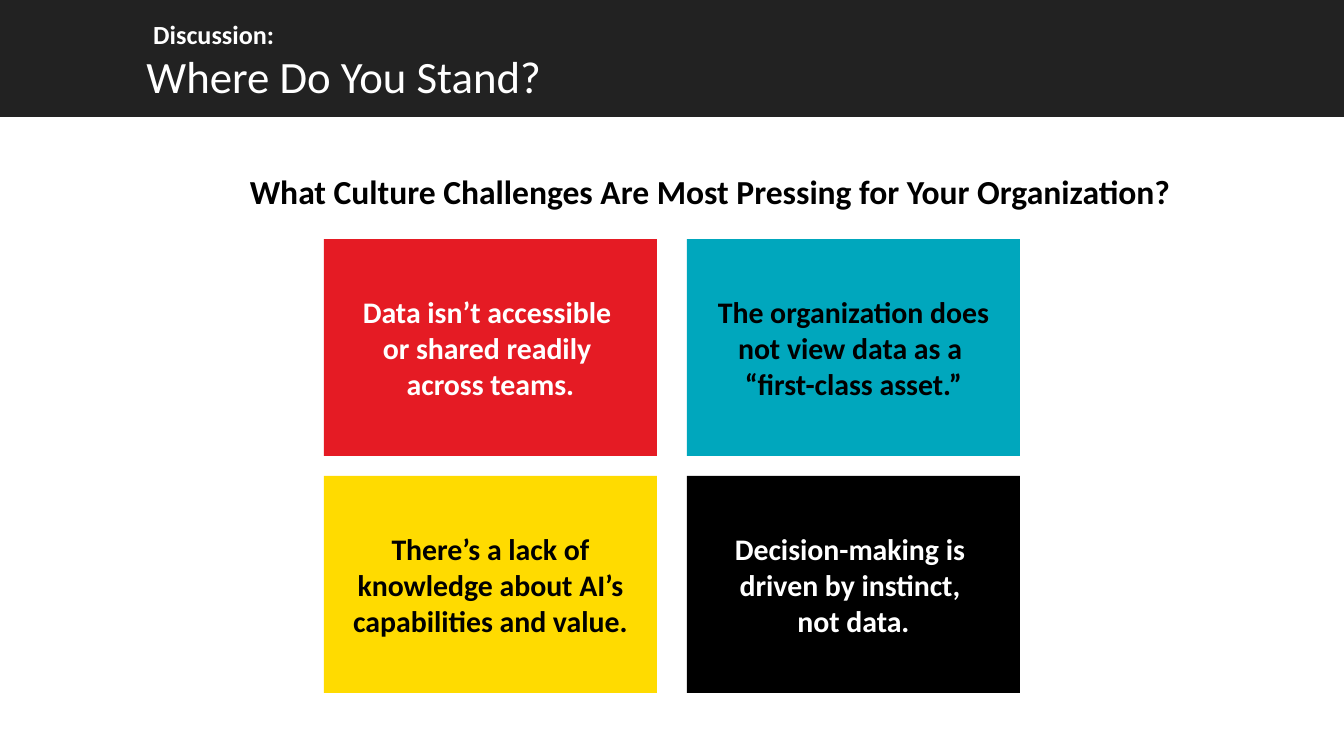
import pptx
import pptx.dml.color
import pptx.enum.shapes
import pptx.enum.text
import pptx.util

PX = 914400 / 134.4  # EMU in one px
RECTANGLE = pptx.enum.shapes.MSO_SHAPE.RECTANGLE
ALIGN = pptx.enum.text.PP_ALIGN
ANCHOR = pptx.enum.text.MSO_ANCHOR

THEME = {
    "font": "Calibri",
    "colors": {"charcoal": "222222", "white": "FFFFFF", "black": "000000",
               "red": "E51B24", "yellow": "FFDB00", "teal": "00A7BD"},
    "sizes": {"label": 14, "title": 24, "question": 18, "card": 16},
}


def color(name):
    return pptx.dml.color.RGBColor.from_string(THEME["colors"][name])


def write(shape, text, size, ink, bold=True, anchor=ANCHOR.TOP, **paragraph_format):
    frame = shape.text_frame
    inset = pptx.util.Inches(0.1)
    frame_format = {"word_wrap": True, "auto_size": pptx.enum.text.MSO_AUTO_SIZE.NONE,
                    "vertical_anchor": anchor, "margin_left": inset, "margin_top": inset,
                    "margin_right": inset, "margin_bottom": inset}
    paragraph = frame.paragraphs[0]
    paragraph.text = text
    font_format = {"name": THEME["font"], "bold": bold,
                   "size": pptx.util.Pt(THEME["sizes"][size])}
    for target, values in ((frame, frame_format), (paragraph, paragraph_format),
                           (paragraph.font, font_format)):
        for attribute, value in values.items():
            setattr(target, attribute, value)
    paragraph.font.color.rgb = color(ink)


deck = pptx.Presentation()
deck.slide_width, deck.slide_height = round(1344 * PX), round(756 * PX)
slide = deck.slides.add_slide(deck.slide_layouts[5])
shapes = slide.shapes

# Header band, behind the title
band = shapes.add_shape(RECTANGLE, 0, 0, deck.slide_width, round(117 * PX))
band.shadow.inherit = False
band.fill.solid()
band.fill.fore_color.rgb = color("charcoal")
band.line.fill.background()
shapes.element.insert(2, band.element)

# Title
heading = shapes.title
title_place = {"left": 133, "top": 35, "width": 737, "height": 67}
for side, length in title_place.items():
    setattr(heading, side, round(length * PX))
write(heading, "Where Do You Stand?", "title", "white", bold=False, alignment=ALIGN.LEFT)

# Header label
label = shapes.add_textbox(*(round(n * PX) for n in (140, 5, 327, 67)))
write(label, "Discussion:", "label", "white", alignment=ALIGN.LEFT)

# Question
question = shapes.add_textbox(*(round(n * PX) for n in (169, 151, 1083, 67)))
write(question, "What Culture Challenges Are Most Pressing for Your Organization?",
      "question", "black", alignment=ALIGN.CENTER, line_spacing=1.15,
      space_after=pptx.util.Pt(10))

# Challenge cards, two by two
CARD_WIDTH, CARD_HEIGHT = 333, 217
GAP_X, GAP_Y = 30, 20
challenges = [
    ("Data isn’t accessible \vor shared readily \vacross teams.", "red", "white"),
    ("The organization does not view data as a \v“first-class asset.”", "teal", "black"),
    ("There’s a lack of knowledge about AI’s capabilities and value.", "yellow", "black"),
    ("Decision-making is \vdriven by instinct, \vnot data.", "black", "white"),
]
for index, (challenge, fill, ink) in enumerate(challenges):
    row, column = divmod(index, 2)
    left = 324 + column * (CARD_WIDTH + GAP_X)
    top = 239 + row * (CARD_HEIGHT + GAP_Y)
    card = shapes.add_shape(
        RECTANGLE, *(round(n * PX) for n in (left, top, CARD_WIDTH, CARD_HEIGHT)))
    card.shadow.inherit = False
    card.fill.solid()
    card.fill.fore_color.rgb = color(fill)
    card.line.fill.background()
    write(card, challenge, "card", ink, anchor=ANCHOR.MIDDLE, alignment=ALIGN.CENTER)

deck.save("out.pptx")
